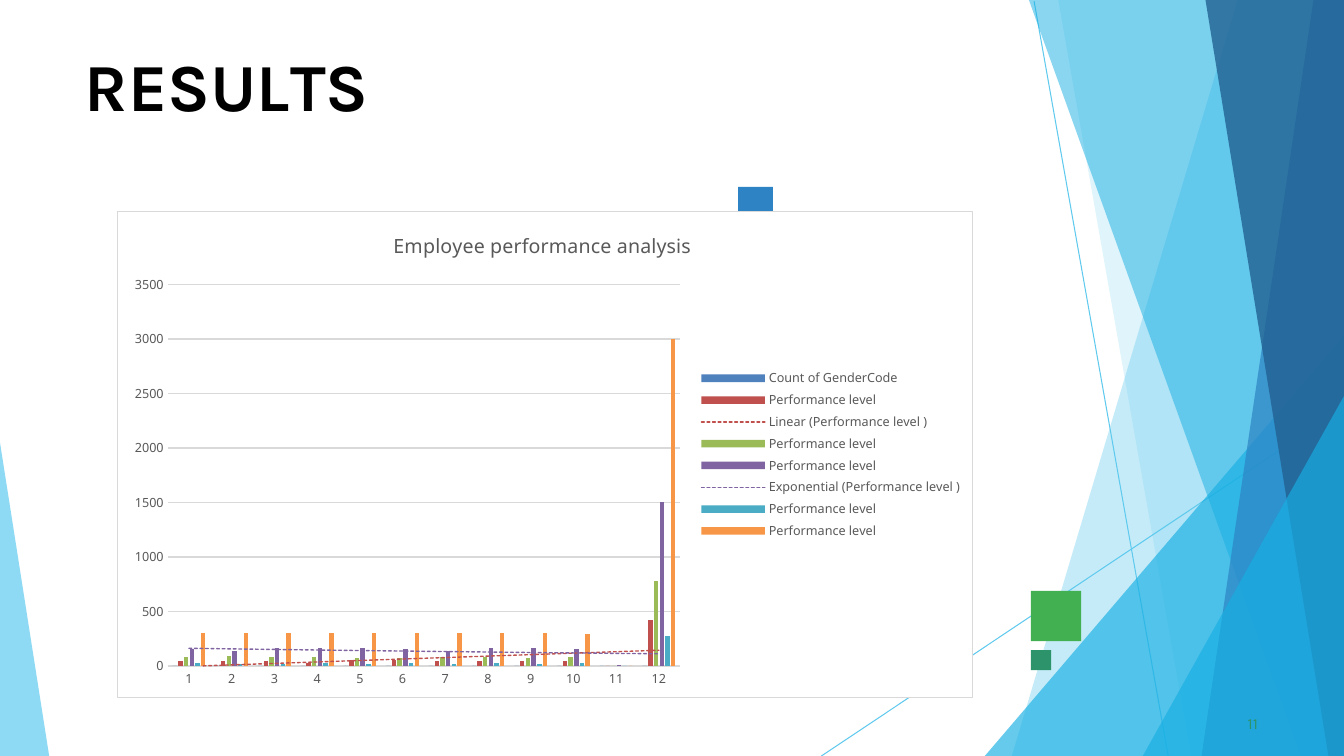
from typing import NamedTuple

from lxml import etree
from pptx import Presentation
from pptx.chart.data import CategoryChartData
from pptx.dml.color import RGBColor
from pptx.enum.chart import XL_CHART_TYPE, XL_LEGEND_POSITION, XL_TICK_MARK
from pptx.enum.shapes import MSO_CONNECTOR, MSO_SHAPE
from pptx.enum.text import MSO_AUTO_SIZE
from pptx.oxml import parse_xml
from pptx.oxml.ns import nsdecls, qn
from pptx.util import Cm, Pt

COLUMNS = XL_CHART_TYPE.COLUMN_CLUSTERED
LEGEND_RIGHT = XL_LEGEND_POSITION.RIGHT
NO_TICKS = XL_TICK_MARK.NONE
STRAIGHT = MSO_CONNECTOR.STRAIGHT
RECTANGLE = MSO_SHAPE.RECTANGLE
FIT_SHAPE = MSO_AUTO_SIZE.SHAPE_TO_FIT_TEXT

RIGHT, BOTTOM = 33.87, 19.05
HEADING_FONT, CHART_FONT = "Karla", "Noto Sans"
SKY, CYAN, BLUE, NAVY = "5FCAEE", "17AFE3", "2D83C3", "226192"
GREEN, TEAL = "42AF51", "2D936B"
BLACK, WHITE, GREY, PALE_GREY = "000000", "FFFFFF", "595959", "D9D9D9"


class Ray(NamedTuple):
    start: tuple[float, float]
    end: tuple[float, float]


class Facet(NamedTuple):
    points: list[tuple[float, float]]
    color: str
    opacity: int


class Square(NamedTuple):
    left: float
    top: float
    side: float
    color: str


class Letters(NamedTuple):
    text: str
    spacing: float


class Measure(NamedTuple):
    name: str
    values: list[int]
    color: str
    trend: str = ""


def band(top_left: float, bottom_left: float) -> list[tuple[float, float]]:
    """Outline from a slanted left edge to the right side of the slide."""
    return [(RIGHT, 0), (top_left, 0), (bottom_left, BOTTOM), (RIGHT, BOTTOM)]


def corner(top: float, left: float) -> list[tuple[float, float]]:
    """Triangle in the bottom right corner of the slide."""
    return [(RIGHT, top), (left, BOTTOM), (RIGHT, BOTTOM)]


RAYS = [
    Ray((26.06, 0.03), (29.44, BOTTOM)),
    Ray((RIGHT, 10.26), (20.7, BOTTOM)),
]
FACETS = [
    Facet(band(31.19, 25.5), SKY, 36),
    Facet(band(26.67, 30.02), SKY, 20),
    Facet(corner(8.46, 24.82), CYAN, 66),
    Facet(band(25.93, 32.79), CYAN, 50),
    Facet(band(33.1, 30.28), BLUE, 70),
    Facet(band(30.38, 33.48), NAVY, 80),
    Facet(corner(9.98, 28.8), CYAN, 66),
    Facet([(0, 11.15), (0, BOTTOM), (1.24, BOTTOM)], SKY, 70),
]
SQUARES = [
    Square(25.98, 14.89, 1.27, GREEN),
    Square(18.6, 4.71, 0.88, BLUE),
    Square(25.98, 16.38, 0.51, TEAL),
]
HEADING = [Letters("R", 0), Letters("E", -0.4), Letters("S", 0.1),
           Letters("U", -0.3), Letters("L", -4), Letters("TS", 0)]
LEVEL = "Performance level "
MEASURES = [
    Measure("Count of\u00a0GenderCode", [0] * 12, "4F81BD"),
    Measure(LEVEL, [40, 40, 40, 30, 50, 50, 40, 40, 40, 40, 0, 420], "C0504D", "linear"),
    Measure(LEVEL, [80, 90, 80, 80, 70, 70, 80, 80, 70, 80, 0, 780], "9BBB59"),
    Measure(LEVEL, [150, 140, 160, 160, 160, 150, 140, 160, 160, 150, 3, 1500],
            "8064A2", "exp"),
    Measure(LEVEL, [30, 20, 20, 30, 20, 30, 20, 30, 20, 30, 0, 270], "4BACC6"),
    Measure(LEVEL, [300] * 9 + [290, 0, 3000], "F79646"),
]


def rgb(color: str) -> RGBColor:
    return RGBColor.from_string(color)


def paint(shape, color: str, opacity: int = 100) -> None:
    shape.shadow.inherit = False
    shape.fill.solid()
    shape.fill.fore_color.rgb = rgb(color)
    shape.line.fill.background()
    if opacity < 100:
        fill_color = shape.fill._xPr.find(qn("a:solidFill"))[0]
        etree.SubElement(fill_color, qn("a:alpha"), val=str(opacity * 1000))


def style_font(font, typeface: str, size: float, color: str, bold: bool = False) -> None:
    font.name, font.size, font.bold = typeface, Pt(size), bold
    font.color.rgb = rgb(color)


def draw_ray(slide, ray: Ray) -> None:
    line = slide.shapes.add_connector(STRAIGHT, *map(Cm, ray.start + ray.end))
    line.line.color.rgb = rgb(SKY)
    line.line.width = Pt(0.75)
    etree.SubElement(line._element.spPr, qn("a:effectLst"))


def draw_facet(slide, facet: Facet) -> None:
    start, *others = [(Cm(x), Cm(y)) for x, y in facet.points]
    builder = slide.shapes.build_freeform(*start)
    builder.add_line_segments(others, close=True)
    paint(builder.convert_to_shape(), facet.color, facet.opacity)


def draw_square(slide, square: Square) -> None:
    box = map(Cm, (square.left, square.top, square.side, square.side))
    paint(slide.shapes.add_shape(RECTANGLE, *box), square.color)


def add_text(slide, box: tuple[float, float, float, float], letters: list[Letters],
             size: float, color: str, bold: bool, indent: float, before: float) -> None:
    frame = slide.shapes.add_textbox(*map(Cm, box)).text_frame
    frame.word_wrap = True
    frame.auto_size = FIT_SHAPE
    frame.margin_left = frame.margin_right = frame.margin_bottom = 0
    frame.margin_top = Cm(0.03)
    paragraph = frame.paragraphs[0]
    paragraph.space_before = Pt(before)
    paragraph._p.get_or_add_pPr().set("marL", str(Cm(indent)))
    for part in letters:
        run = paragraph.add_run()
        run.text = part.text
        style_font(run.font, HEADING_FONT, size, color, bold)
        run.font._element.set("spc", str(round(part.spacing * 100)))


def add_trend(series, kind: str, color: str) -> None:
    trend = parse_xml(
        f'<c:trendline {nsdecls("c", "a")}><c:spPr><a:ln w="12700" cap="rnd">'
        f'<a:solidFill><a:srgbClr val="{color}"/></a:solidFill>'
        f'<a:prstDash val="sysDash"/></a:ln></c:spPr><c:trendlineType val="{kind}"/>'
        '<c:dispRSqr val="0"/><c:dispEq val="0"/></c:trendline>')
    series._element.find(qn("c:cat")).addprevious(trend)


def frame_chart(chart) -> None:
    """Give the whole chart a white ground and a pale border."""
    ground = parse_xml(
        f'<c:spPr {nsdecls("c", "a")}><a:solidFill><a:srgbClr val="{WHITE}"/></a:solidFill>'
        f'<a:ln w="12700"><a:solidFill><a:srgbClr val="{PALE_GREY}"/></a:solidFill></a:ln>'
        '</c:spPr>')
    chart._chartSpace.find(qn("c:txPr")).addprevious(ground)


def add_performance_chart(slide) -> None:
    data = CategoryChartData(number_format="General")
    data.categories = [str(number) for number in range(1, 13)]
    for measure in MEASURES:
        data.add_series(measure.name, measure.values)
    box = map(Cm, (2.95, 5.32, 21.57, 12.27))
    chart = slide.shapes.add_chart(COLUMNS, *box, data).chart
    style_font(chart.font, CHART_FONT, 10, BLACK)
    frame_chart(chart)

    chart.has_title = True
    title = chart.chart_title.text_frame
    title.text = "Employee performance analysis "
    style_font(title.paragraphs[0].runs[0].font, CHART_FONT, 14, GREY)
    chart.has_legend = True
    chart.legend.position = LEGEND_RIGHT
    chart.legend.include_in_layout = False
    style_font(chart.legend.font, CHART_FONT, 9, GREY)

    for axis in (chart.category_axis, chart.value_axis):
        axis.major_tick_mark = axis.minor_tick_mark = NO_TICKS
        style_font(axis.tick_labels.font, CHART_FONT, 9, GREY)
    values = chart.value_axis
    values.minimum_scale, values.maximum_scale, values.major_unit = 0, 3500, 500
    values.format.line.fill.background()
    for line in (chart.category_axis.format.line, values.major_gridlines.format.line):
        line.color.rgb = rgb(PALE_GREY)
        line.width = Pt(1)

    plot = chart.plots[0]
    plot.gap_width, plot.overlap, plot.vary_by_categories = 219, -27, False
    for series, measure in zip(plot.series, MEASURES):
        series.format.fill.solid()
        series.format.fill.fore_color.rgb = rgb(measure.color)
        if measure.trend:
            add_trend(series, measure.trend, measure.color)


def main() -> None:
    deck = Presentation()
    deck.slide_width, deck.slide_height = Cm(RIGHT), Cm(BOTTOM)
    slide = deck.slides.add_slide(deck.slide_layouts[6])
    for ray in RAYS:
        draw_ray(slide, ray)
    for facet in FACETS:
        draw_facet(slide, facet)
    for square in SQUARES:
        draw_square(slide, square)
    add_text(slide, (2.11, 1.09, 7.82, 2.06), HEADING, 48, BLACK, True, 0.03, 1)
    add_text(slide, (31.34, 17.96, 0.64, 0.46), [Letters("11", 0.1)], 11, TEAL, False, 0.1, 0.6)
    add_performance_chart(slide)
    deck.save("out.pptx")


if __name__ == "__main__":
    main()
